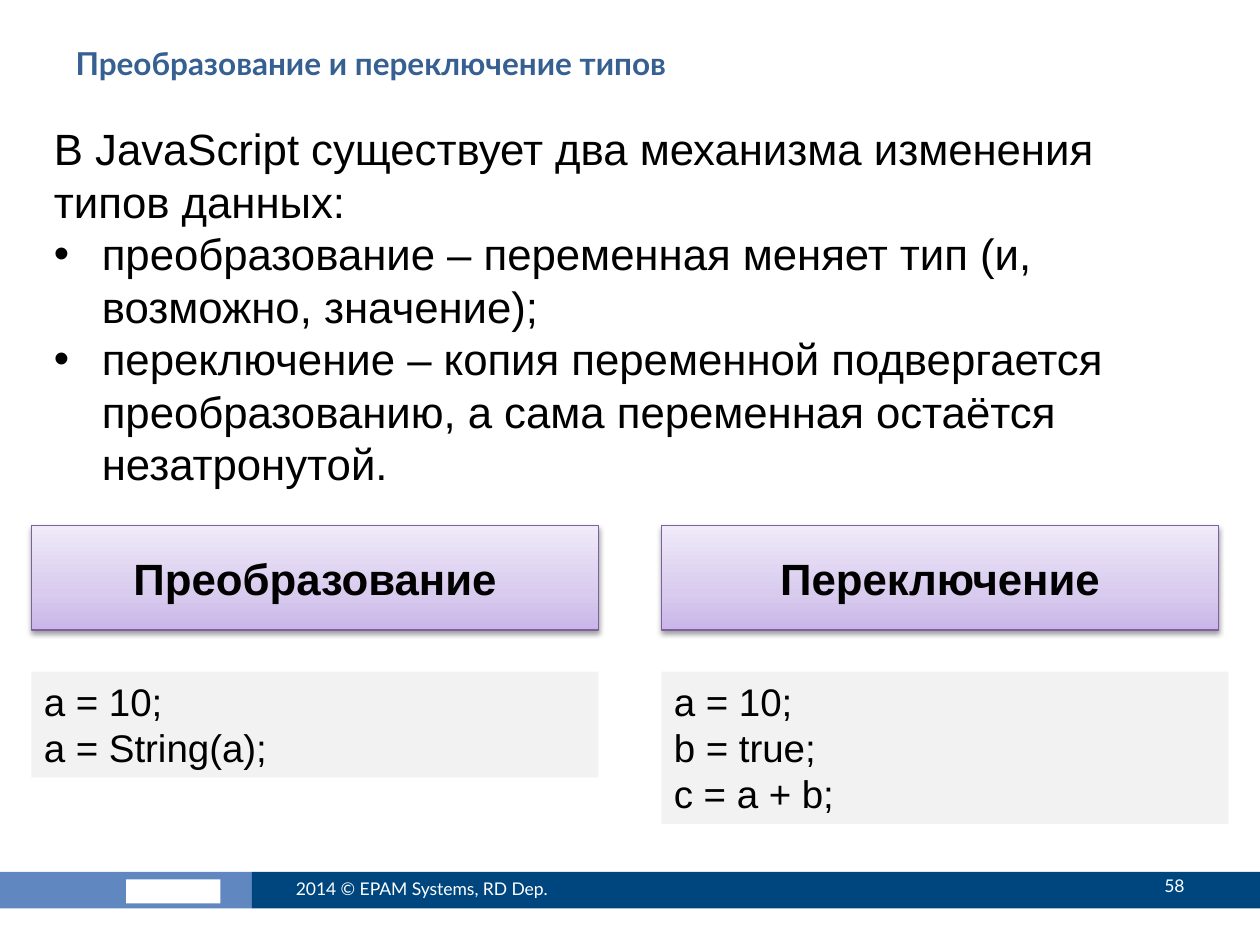
from dataclasses import dataclass

import lxml.etree
import pptx
import pptx.dml.color
import pptx.enum.shapes
import pptx.enum.text
import pptx.oxml.ns
import pptx.util

Inches = pptx.util.Inches
Align = pptx.enum.text.PP_ALIGN
Anchor = pptx.enum.text.MSO_ANCHOR
AutoSize = pptx.enum.text.MSO_AUTO_SIZE
qn = pptx.oxml.ns.qn

BLACK, WHITE = "000000", "FFFFFF"
GRADIENT = ((0, "C9B5E8"), (35, "D8CBEE"), (100, "F0EAF9"))
INTRO = "В JavaScript существует два механизма изменения типов данных:"
BULLETS = (
    "преобразование – переменная меняет тип (и, возможно, значение);",
    "переключение – копия переменной подвергается преобразованию, "
    "а сама переменная остаётся незатронутой.",
)


@dataclass
class Area:
    left: float
    top: float
    width: float
    height: float

    def lengths(self) -> list:
        return [Inches(v) for v in (self.left, self.top, self.width, self.height)]


@dataclass
class Style:
    size: float
    font: str = "Arial"
    color: str = BLACK
    bold: bool = False
    align: Align = Align.LEFT
    anchor: Anchor = Anchor.TOP
    auto_size: AutoSize = AutoSize.NONE


@dataclass
class Mechanism:
    left: float
    heading_width: float
    heading: str
    code: tuple
    code_height: float


MECHANISMS = (
    Mechanism(0.25, 4.5, "Преобразование", ("a = 10;", "a = String(a);"), 0.84),
    Mechanism(5.25, 4.42, "Переключение", ("a = 10;", "b = true;", "c = a + b;"), 1.21),
)
HEADING = Style(25, bold=True, align=Align.CENTER, anchor=Anchor.MIDDLE)
CODE = Style(22, auto_size=AutoSize.SHAPE_TO_FIT_TEXT)
BODY = Style(25, auto_size=AutoSize.SHAPE_TO_FIT_TEXT)
TITLE = Style(18, "Lato", "376092", True)
FOOTER = Style(10, "Lato", WHITE, anchor=Anchor.MIDDLE)
NUMBER = Style(10, "Lato", WHITE, align=Align.RIGHT, anchor=Anchor.MIDDLE)


def rgb(value: str) -> pptx.dml.color.RGBColor:
    return pptx.dml.color.RGBColor.from_string(value)


def write(shape, text: str, style: Style) -> None:
    frame = shape.text_frame
    frame.text = text
    frame.word_wrap = True
    frame.auto_size = style.auto_size
    frame.vertical_anchor = style.anchor
    for para in frame.paragraphs:
        para.alignment = style.align
        for span in para.runs:
            span.font.size = pptx.util.Pt(style.size)
            span.font.name = style.font
            span.font.bold = style.bold
            span.font.color.rgb = rgb(style.color)


def add_text(page, area: Area, text: str, style: Style):
    box = page.shapes.add_textbox(*area.lengths())
    write(box, text, style)
    return box


def add_box(page, area: Area, fill: str):
    box = page.shapes.add_shape(
        pptx.enum.shapes.MSO_SHAPE.RECTANGLE, *area.lengths())
    box.shadow.inherit = False
    box.fill.solid()
    box.fill.fore_color.rgb = rgb(fill)
    box.line.fill.background()
    return box


def add_color(parent, value: str):
    return lxml.etree.SubElement(parent, qn("a:srgbClr"), val=value)


def add_heading(page, area: Area, text: str) -> None:
    box = add_box(page, area, GRADIENT[0][1])
    box.line.color.rgb = rgb("7D60A0")
    box.line.width = pptx.util.Pt(0.75)
    box.fill.gradient()
    box.fill.gradient_angle = 90
    properties = box.element.spPr
    stops = properties.find(".//" + qn("a:gsLst"))
    for stop in list(stops):
        stops.remove(stop)
    for position, color in GRADIENT:
        stop = lxml.etree.SubElement(stops, qn("a:gs"), pos=str(position * 1000))
        add_color(stop, color)
    shadow = lxml.etree.SubElement(
        properties.find(qn("a:effectLst")), qn("a:outerShdw"),
        blurRad=str(pptx.util.Pt(3.1)), dist=str(pptx.util.Pt(1.6)),
        dir="5400000", rotWithShape="0")
    lxml.etree.SubElement(add_color(shadow, BLACK), qn("a:alpha"), val="38000")
    write(box, text, HEADING)


def add_bullet(para) -> None:
    properties = para._p.get_or_add_pPr()
    indent = Inches(0.38)
    properties.set("marL", str(indent))
    properties.set("indent", str(-indent))
    lxml.etree.SubElement(properties, qn("a:buFont"), typeface="Arial")
    lxml.etree.SubElement(properties, qn("a:buChar"), char="•")


def add_footer(page) -> None:
    add_box(page, Area(0, 6.92, 2, 0.29), "6087BF")
    add_box(page, Area(1, 6.98, 0.75, 0.19), WHITE)
    add_box(page, Area(2, 6.92, 8, 0.29), "00467E")
    add_text(page, Area(2.25, 6.85, 2.67, 0.4), "2014 © EPAM Systems, RD Dep.", FOOTER)
    add_text(page, Area(8.42, 6.83, 1.08, 0.4), "58", NUMBER)


def main() -> None:
    deck = pptx.Presentation()
    deck.slide_width, deck.slide_height = Inches(10), Inches(7.5)
    page = deck.slides.add_slide(deck.slide_layouts.get_by_name("Title Only"))
    title = page.shapes.title
    title.left, title.top, title.width, title.height = Area(0.5, 0.3, 9, 0.78).lengths()
    write(title, "Преобразование и переключение типов", TITLE)
    add_footer(page)
    body = add_text(page, Area(0.33, 0.92, 9.25, 3.05), "\n".join((INTRO, *BULLETS)), BODY)
    for para in body.text_frame.paragraphs[1:]:
        add_bullet(para)
    for item in MECHANISMS:
        add_heading(page, Area(item.left, 4.17, item.heading_width, 0.83), item.heading)
        code = add_box(page, Area(item.left, 5.33, 4.5, item.code_height), "F2F2F2")
        write(code, "\n".join(item.code), CODE)
    deck.save("out.pptx")


if __name__ == "__main__":
    main()
